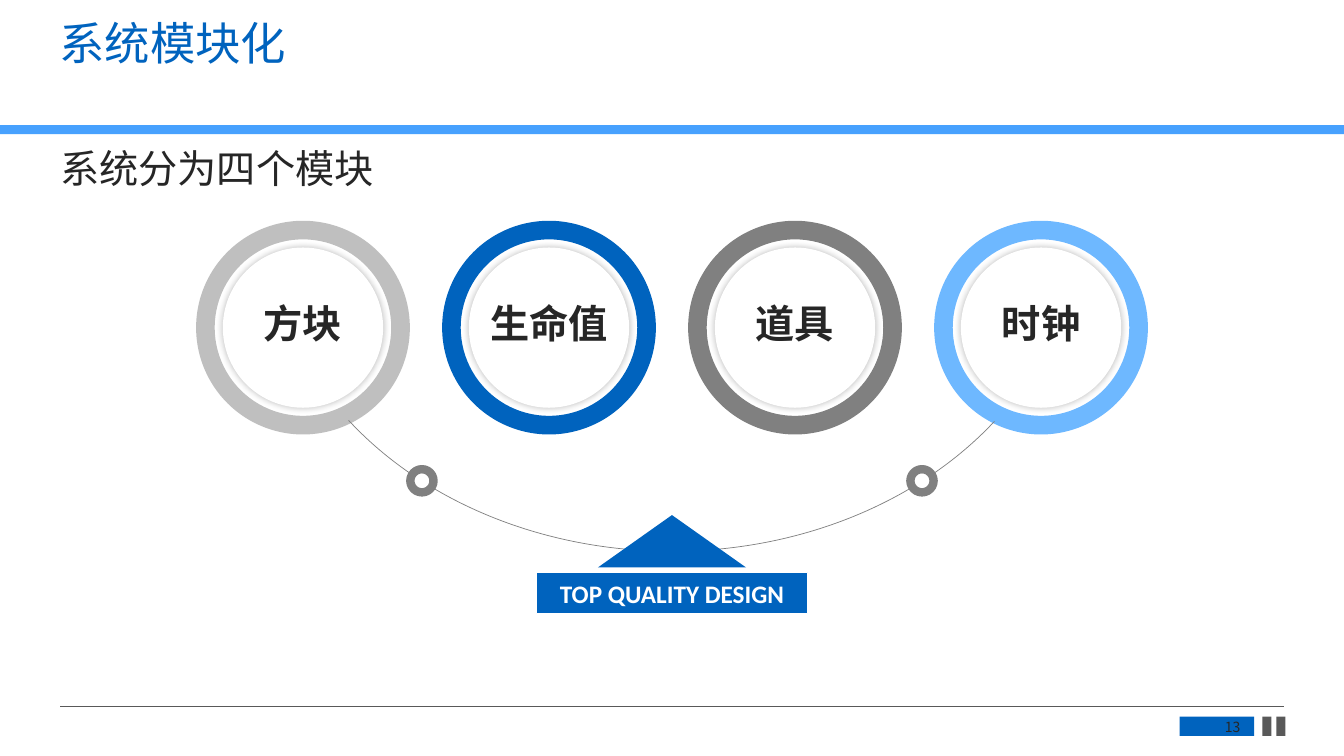
"""Build the slide on the four modules of the system."""
from lxml.etree import SubElement
from pptx import Presentation
from pptx.dml.color import RGBColor
from pptx.enum.shapes import MSO_CONNECTOR, MSO_SHAPE as SHAPE
from pptx.enum.text import MSO_ANCHOR as ANCHOR, MSO_AUTO_SIZE as FIT, PP_ALIGN as ALIGN
from pptx.oxml.ns import qn
from pptx.util import Inches, Pt

BLUE = RGBColor(0x00, 0x63, 0xBE)
BAR_BLUE = RGBColor(0x47, 0xA1, 0xFE)
LIGHT_BLUE = RGBColor(0x6E, 0xB8, 0xFF)
GREY = RGBColor(0x80, 0x80, 0x80)
LIGHT_GREY = RGBColor(0xBF, 0xBF, 0xBF)
DARK_GREY = RGBColor(0x59, 0x59, 0x59)
INK = RGBColor(0x26, 0x26, 0x26)
WHITE = RGBColor(0xFF, 0xFF, 0xFF)

TITLE = "系统模块化"
SUBTITLE = "系统分为四个模块"
MODULES = [("方块", LIGHT_GREY, 1.7), ("生命值", BLUE, 2.33),
           ("道具", GREY, 1.7), ("时钟", LIGHT_BLUE, 1.7)]
BANNER = "TOP QUALITY DESIGN"
PAGE = "13"

W, H = 13.33, 7.5
MID = W / 2
PITCH, RING, DISC, RING_Y = 2.44, 2.12, 1.59, 3.25
ARC_W, ARC_H, ARC_Y = 8.02, 6.5, 2.22
BEAD, BEAD_GAP, BEAD_Y = 0.23, 2.48, 4.77
FOOT_Y, FOOT_H = 7.11, 0.19
FOOT_BLOCKS = [(11.7, 0.74, BLUE), (12.52, 0.09, DARK_GREY), (12.66, 0.09, DARK_GREY)]

prs = Presentation()
prs.slide_width, prs.slide_height = Inches(W), Inches(H)
s = prs.slides.add_slide(prs.slide_layouts[5])


def place(sp, x, y, w, h):
    sp.left, sp.top, sp.width, sp.height = map(Inches, (x, y, w, h))


def add_shape(kind, x, y, w, h, fill=None, line=None, weight=0):
    sp = s.shapes.add_shape(kind, *map(Inches, (x, y, w, h)))
    sp.shadow.inherit = False
    if fill is None:
        sp.fill.background()
    else:
        sp.fill.solid()
        sp.fill.fore_color.rgb = fill
    if line is None:
        sp.line.fill.background()
    else:
        sp.line.color.rgb = line
        sp.line.width = Pt(weight)
    return sp


def add_centred(kind, cx, cy, w, h, *style):
    return add_shape(kind, cx - w / 2, cy - h / 2, w, h, *style)


def add_glow(sp):
    effects = sp._element.spPr.find(qn("a:effectLst"))
    shadow = SubElement(effects, qn("a:outerShdw"), blurRad=str(Pt(5)), dist="0",
                        dir="0", algn="ctr", rotWithShape="0")
    color = SubElement(shadow, qn("a:srgbClr"), val="000000")
    SubElement(color, qn("a:alpha"), val="25000")


def write(tf, text, size, color, bold=False, align=ALIGN.LEFT, font="Calibri"):
    tf.word_wrap = True
    p = tf.paragraphs[0]
    p.alignment = align
    r = p.add_run()
    r.text = text
    r.font.name, r.font.size, r.font.bold = font, Pt(size), bold
    r.font.color.rgb = color
    return p


def add_text(x, y, w, h, *style, **options):
    tf = s.shapes.add_textbox(*map(Inches, (x, y, w, h))).text_frame
    write(tf, *style, **options)
    return tf


add_shape(SHAPE.RECTANGLE, 0, 1.24, W, 0.09, BAR_BLUE)
rule = s.shapes.add_connector(MSO_CONNECTOR.STRAIGHT,
                              *map(Inches, (0.6, 7.01, W - 0.6, 7.01)))
rule.line.color.rgb = DARK_GREY
rule.line.width = Pt(0.5)
SubElement(rule._element.spPr, qn("a:effectLst"))
for x, w, color in FOOT_BLOCKS:
    add_shape(SHAPE.RECTANGLE, x, FOOT_Y, w, FOOT_H, color)

title = s.shapes.title
place(title, 0.49, 0.2, 12.18, 0.64)
title.text_frame.auto_size = FIT.NONE
title.text_frame.vertical_anchor = ANCHOR.TOP
write(title.text_frame, TITLE, 32.4, BLUE).line_spacing = 0.8

number = add_text(11.74, 7.13, 0.66, 0.17, PAGE, 10, INK,
                  align=ALIGN.RIGHT, font="Noto Sans CJK SC")
number.vertical_anchor = ANCHOR.MIDDLE
add_text(0.5, 1.38, 12.24, 0.57, SUBTITLE, 28, INK).auto_size = FIT.SHAPE_TO_FIT_TEXT

for i, (name, color, label_w) in enumerate(MODULES):
    cx = MID + (i - (len(MODULES) - 1) / 2) * PITCH
    ring = add_centred(SHAPE.DONUT, cx, RING_Y, RING, RING, color)
    ring.adjustments[0] = 0.087
    add_glow(add_centred(SHAPE.OVAL, cx, RING_Y, DISC, DISC, WHITE))
    label = add_text(cx - label_w / 2, 2.92, label_w, 0.57, name, 28, INK,
                     bold=True, align=ALIGN.CENTER)
    label.auto_size = FIT.SHAPE_TO_FIT_TEXT

arc = add_centred(SHAPE.ARC, MID, ARC_Y, ARC_W, ARC_H, None, GREY, 0.5)
arc.adjustments[0], arc.adjustments[1] = 126.78, 197.1
arc._element.spPr.find(qn("a:xfrm")).set("flipV", "1")

add_centred(SHAPE.ISOSCELES_TRIANGLE, MID, 5.37, 1.47, 0.52, BLUE)
for side in (-1, 1):
    add_centred(SHAPE.OVAL, MID + side * BEAD_GAP, BEAD_Y, BEAD, BEAD, WHITE, GREY, 6)
add_centred(SHAPE.RECTANGLE, MID, 5.88, 2.69, 0.41, BLUE, WHITE, 0.25)
banner = add_text(MID - 1.24, 5.69, 2.48, 0.41, BANNER, 18, WHITE,
                  bold=True, align=ALIGN.CENTER)
banner.auto_size = FIT.SHAPE_TO_FIT_TEXT

prs.save("out.pptx")
